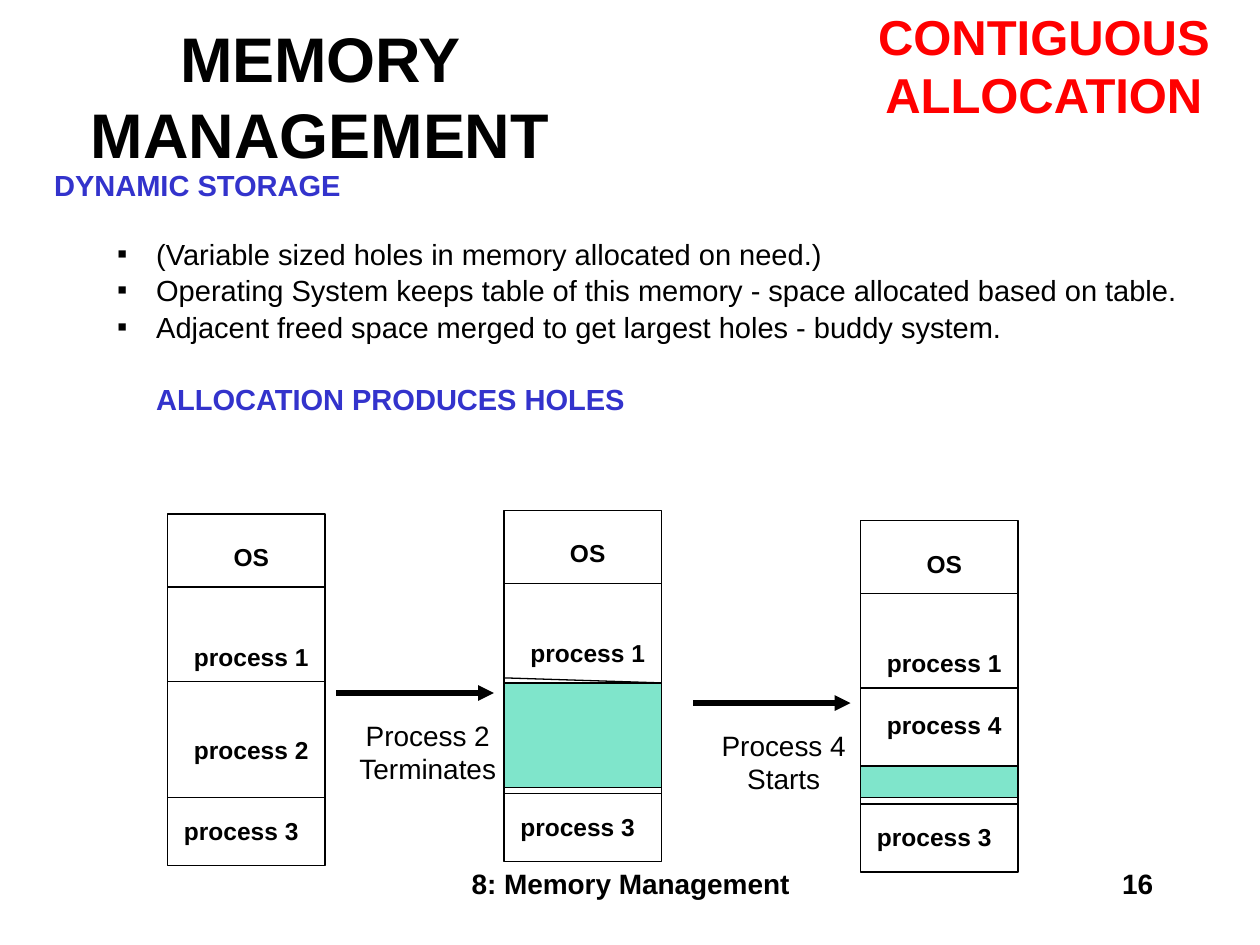
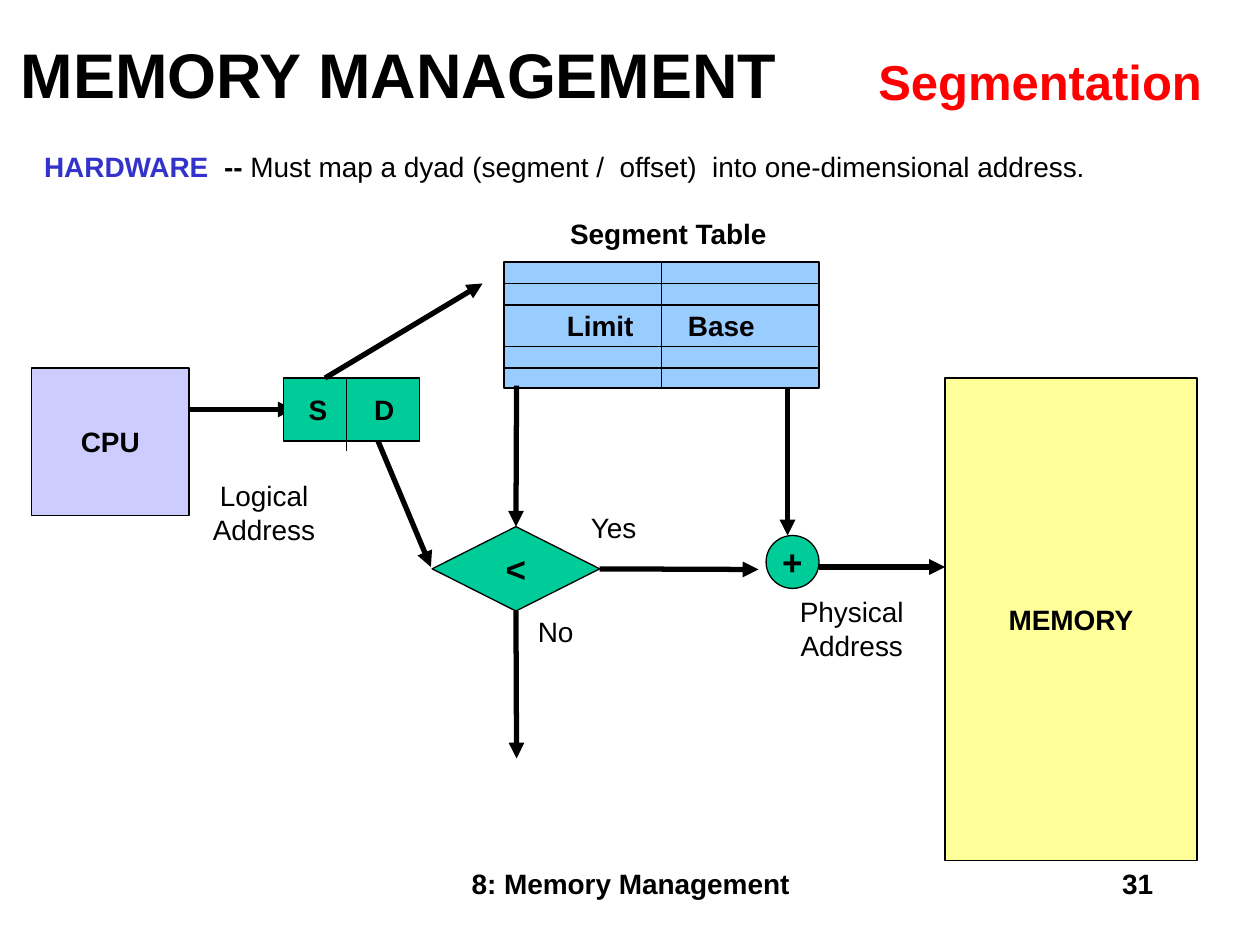
import pptx
import pptx.dml.color
import pptx.enum.shapes
import pptx.enum.text
import pptx.oxml
import pptx.oxml.ns
import pptx.util
from lxml import etree

Inches = pptx.util.Inches
Pt = pptx.util.Pt
RGBColor = pptx.dml.color.RGBColor
SHAPE = pptx.enum.shapes.MSO_SHAPE
ALIGN = pptx.enum.text.PP_ALIGN
ANCHOR = pptx.enum.text.MSO_ANCHOR
qn = pptx.oxml.ns.qn

BLACK = RGBColor(0x00, 0x00, 0x00)
WHITE = RGBColor(0xFF, 0xFF, 0xFF)
RED = RGBColor(0xFF, 0x00, 0x00)
HEADING_BLUE = RGBColor(0x33, 0x33, 0xCC)
GREEN = RGBColor(0x00, 0xCC, 0x99)
LILAC = RGBColor(0xCC, 0xCC, 0xFF)
YELLOW = RGBColor(0xFF, 0xFF, 0x99)
SKY_BLUE = RGBColor(0x99, 0xCC, 0xFF)

FONT = "Arial"
THIN, THICK = 0.75, 3
STACK_WIDTH, STACK_HEIGHT = 1.25, 2.79
OS_END, PROCESS_1_END, PROCESS_3_START = 0.58, 1.33, 2.25


def add_run(paragraph, text, size=16, bold=False, color=BLACK):
    run = paragraph.add_run()
    run.text = text
    formats = {"name": FONT, "size": Pt(size), "bold": bold}
    for name, value in formats.items():
        setattr(run.font, name, value)
    run.font.color.rgb = color


def format_frame(shape, anchor=ANCHOR.TOP, wrap=True):
    formats = {
        "margin_left": Inches(0.1), "margin_right": Inches(0.1),
        "margin_top": Inches(0.05), "margin_bottom": Inches(0.05),
        "auto_size": pptx.enum.text.MSO_AUTO_SIZE.NONE,
        "vertical_anchor": anchor, "word_wrap": wrap,
    }
    for name, value in formats.items():
        setattr(shape.text_frame, name, value)
    return shape.text_frame


def place(shape, left, top, width, height):
    shape.left, shape.top = Inches(left), Inches(top)
    shape.width, shape.height = Inches(width), Inches(height)


def add_label(slide, box, text, anchor=ANCHOR.TOP, align=ALIGN.CENTER,
              wrap=False, **run_format):
    """Add a text box with one paragraph for each line of text."""
    label = slide.shapes.add_textbox(*map(Inches, box))
    frame = format_frame(label, anchor, wrap)
    for index, line in enumerate(text.split("\n")):
        paragraph = frame.add_paragraph() if index else frame.paragraphs[0]
        paragraph.alignment = align
        add_run(paragraph, line, **run_format)


def add_block(slide, box, fill, text="", kind=SHAPE.RECTANGLE, size=16):
    block = slide.shapes.add_shape(kind, *map(Inches, box))
    block.shadow.inherit = False
    block.fill.solid()
    block.fill.fore_color.rgb = fill
    block.line.color.rgb = BLACK
    block.line.width = Pt(THIN)
    if text:
        frame = format_frame(block, ANCHOR.MIDDLE, wrap=False)
        frame.paragraphs[0].alignment = ALIGN.CENTER
        add_run(frame.paragraphs[0], text, size, bold=True)
    return block


def add_two_fields(slide, box, fill, fields, inset, tab):
    """Add a block whose two words are set apart by a tab stop."""
    block = add_block(slide, box, fill)
    frame = format_frame(block, ANCHOR.MIDDLE)
    frame.margin_left, frame.margin_right = Inches(inset), 0
    paragraph = frame.paragraphs[0]
    tabs = etree.SubElement(paragraph._p.get_or_add_pPr(), qn("a:tabLst"))
    etree.SubElement(tabs, qn("a:tab"), pos=str(Inches(tab)), algn="l")
    paragraph.alignment = ALIGN.LEFT
    add_run(paragraph, "\t".join(fields), bold=True)


def add_line(slide, start, end, width=THIN):
    line = slide.shapes.add_connector(
        pptx.enum.shapes.MSO_CONNECTOR.STRAIGHT, *map(Inches, start + end))
    line.line.color.rgb = BLACK
    line.line.width = Pt(width)
    etree.SubElement(line._element.spPr, qn("a:effectLst"))
    return line


def add_arrow(slide, start, end):
    arrow = add_line(slide, start, end, THICK)
    outline = arrow.line._get_or_add_ln()
    etree.SubElement(outline, qn("a:tailEnd"), type="triangle")
    return arrow


def start_slide(presentation, title_box, topic, topic_box, number):
    """Add a slide with the shared title, red topic and footer."""
    slide = presentation.slides.add_slide(presentation.slide_layouts[1])
    title = slide.shapes.title
    place(title, *title_box)
    paragraph = format_frame(title, ANCHOR.MIDDLE).paragraphs[0]
    paragraph.alignment = ALIGN.CENTER
    add_run(paragraph, "MEMORY MANAGEMENT", 36, bold=True)
    add_label(slide, topic_box, topic, size=28, bold=True, color=RED)
    add_label(slide, (3.42, 6.83, 3.17, 0.5), "8: Memory Management",
              bold=True, wrap=True)
    add_label(slide, (7.17, 6.83, 2.08, 0.5), number,
              align=ALIGN.RIGHT, bold=True, wrap=True)
    return slide


def start_body(slide, box):
    body = slide.placeholders[1]
    place(body, *box)
    return format_frame(body)


def format_body_paragraph(paragraph, spacing, before=0, margin=0, bullet=None):
    properties = paragraph._p.get_or_add_pPr()
    properties.set("marL", str(Inches(margin)))
    properties.set("indent", str(Inches(-0.31) if bullet else 0))
    if bullet:
        etree.SubElement(properties, qn("a:buChar"), char=bullet)
    else:
        etree.SubElement(properties, qn("a:buNone"))
    formats = {"alignment": ALIGN.JUSTIFY, "line_spacing": spacing,
               "space_before": Pt(before)}
    for name, value in formats.items():
        setattr(paragraph, name, value)


def add_memory_stack(slide, left, top, middle_label=None, hole=None, slant=0):
    """Draw memory; middle_label is (text, offset), hole (offset, height)."""
    add_block(slide, (left, top, STACK_WIDTH, STACK_HEIGHT), WHITE)
    for offset, drop in ((OS_END, 0), (PROCESS_1_END, slant),
                         (PROCESS_3_START, 0)):
        add_line(slide, (left, top + offset),
                 (left + STACK_WIDTH, top + offset + drop))
    if hole:
        offset, height = hole
        block = add_block(slide, (left, top + offset, STACK_WIDTH, height), GREEN)
        color = block.fill._xPr.find(qn("a:solidFill"))[0]
        etree.SubElement(color, qn("a:alpha"), val="50000")
    labels = [("OS", 0.08, 0.17), ("process 1", 0.08, 0.96),
              ("process 3", 0, 2.34)]
    if middle_label:
        text, offset = middle_label
        labels.append((text, 0.08, offset))
    for text, indent, offset in labels:
        add_label(slide, (left + indent, top + offset, 1.17, 0.34), text,
                  ANCHOR.MIDDLE, size=14, bold=True)


def build_contiguous_allocation(presentation):
    slide = start_slide(presentation, (0, 0.17, 5.08, 1.17),
                        "CONTIGUOUS\nALLOCATION", (6.87, 0, 2.83, 1.04), "16")
    frame = start_body(slide, (0.33, 1.33, 9.42, 2.25))
    heading = {"bold": True, "color": HEADING_BLUE}
    lines = [
        ("DYNAMIC STORAGE", heading, {}),
        ("(Variable sized holes in memory allocated on need.)", {},
         {"before": 23.5, "margin": 0.81, "bullet": "▪"}),
        ("Operating System keeps table of this memory - space allocated "
         "based on table.", {},
         {"before": 5, "margin": 0.81, "bullet": "▪"}),
        ("Adjacent freed space merged to get largest holes - buddy system.",
         {}, {"before": 5, "margin": 0.81, "bullet": "▪"}),
        ("ALLOCATION PRODUCES HOLES", heading,
         {"before": 25, "margin": 0.81}),
    ]
    for index, (text, run_format, layout) in enumerate(lines):
        paragraph = frame.add_paragraph() if index else frame.paragraphs[0]
        format_body_paragraph(paragraph, 0.8, **layout)
        add_run(paragraph, text, 16.6, **run_format)

    add_memory_stack(slide, 1.33, 4.08, middle_label=("process 2", 1.7))
    add_memory_stack(slide, 4, 4.05, hole=(1.37, 0.83), slant=0.04)
    add_memory_stack(slide, 6.83, 4.13, middle_label=("process 4", 1.45),
                     hole=(1.95, 0.25))
    add_arrow(slide, (2.67, 5.5), (3.92, 5.5))
    add_label(slide, (2.74, 5.65, 1.31, 0.64), "Process 2\nTerminates")
    add_arrow(slide, (5.5, 5.58), (6.75, 5.58))
    add_label(slide, (5.63, 5.73, 1.18, 0.64), "Process 4\nStarts")


def build_segmentation(presentation):
    slide = start_slide(presentation, (0, 0.17, 6.33, 0.83),
                        "Segmentation", (6.87, 0.36, 2.77, 0.57), "31")
    paragraph = start_body(slide, (0.25, 1.17, 9.42, 0.5)).paragraphs[0]
    format_body_paragraph(paragraph, 0.9)
    add_run(paragraph, "HARDWARE", bold=True, color=HEADING_BLUE)
    add_run(paragraph, "  -- ", bold=True)
    add_run(paragraph, "Must map a dyad (segment /  offset)  into "
                       "one-dimensional address.")

    add_block(slide, (0.25, 2.92, 1.25, 1.17), LILAC, "CPU")
    add_block(slide, (7.5, 3, 2, 3.83), YELLOW, "MEMORY")
    add_block(slide, (6.08, 4.25, 0.42, 0.42), GREEN, "+", SHAPE.OVAL, 20)
    compare = add_block(slide, (3.43, 4.18, 1.33, 0.67), GREEN, "<",
                        SHAPE.FLOWCHART_DECISION, 20)

    add_two_fields(slide, (4, 2.08, 2.5, 1), SKY_BLUE, ("Limit", "Base"),
                   0.5, 0.96)
    add_line(slide, (5.25, 2.08), (5.25, 3.08))
    for row_edge in (2.25, 2.42, 2.75, 2.92):
        add_line(slide, (4, row_edge), (6.5, row_edge))

    add_arrow(slide, (1.5, 3.25), (2.33, 3.25))
    add_two_fields(slide, (2.25, 3, 1.08, 0.5), GREEN, ("S", "D"), 0.2, 0.52)
    add_line(slide, (2.75, 3), (2.75, 3.58))

    add_arrow(slide, (4.1, 3.06), (4.1, 4.18)).end_connect(compare, 0)
    add_arrow(slide, (4.1, 4.85), (4.1, 6.02)).begin_connect(compare, 2)
    add_arrow(slide, (4.76, 4.52), (6.02, 4.52)).begin_connect(compare, 3)
    for start, end in (((6.5, 4.5), (7.5, 4.5)), ((6.25, 3.08), (6.25, 4.25)),
                       ((3, 3.5), (3.42, 4.5)), ((2.58, 3), (3.83, 2.25))):
        add_arrow(slide, start, end)

    add_label(slide, (4.42, 1.67, 1.77, 0.37), "Segment Table", bold=True)
    add_label(slide, (1.59, 3.75, 1.01, 0.64), "Logical\nAddress")
    add_label(slide, (6.25, 4.67, 1.02, 0.64), "Physical\nAddress")
    add_label(slide, (4.59, 4, 0.58, 0.37), "Yes", align=ALIGN.LEFT)
    add_label(slide, (4.17, 4.83, 0.48, 0.37), "No", align=ALIGN.LEFT)


def main():
    presentation = pptx.Presentation()
    presentation.slide_width = Inches(10)
    presentation.slide_height = Inches(7.5)
    build_contiguous_allocation(presentation)
    build_segmentation(presentation)
    presentation.save("out.pptx")


if __name__ == "__main__":
    main()
